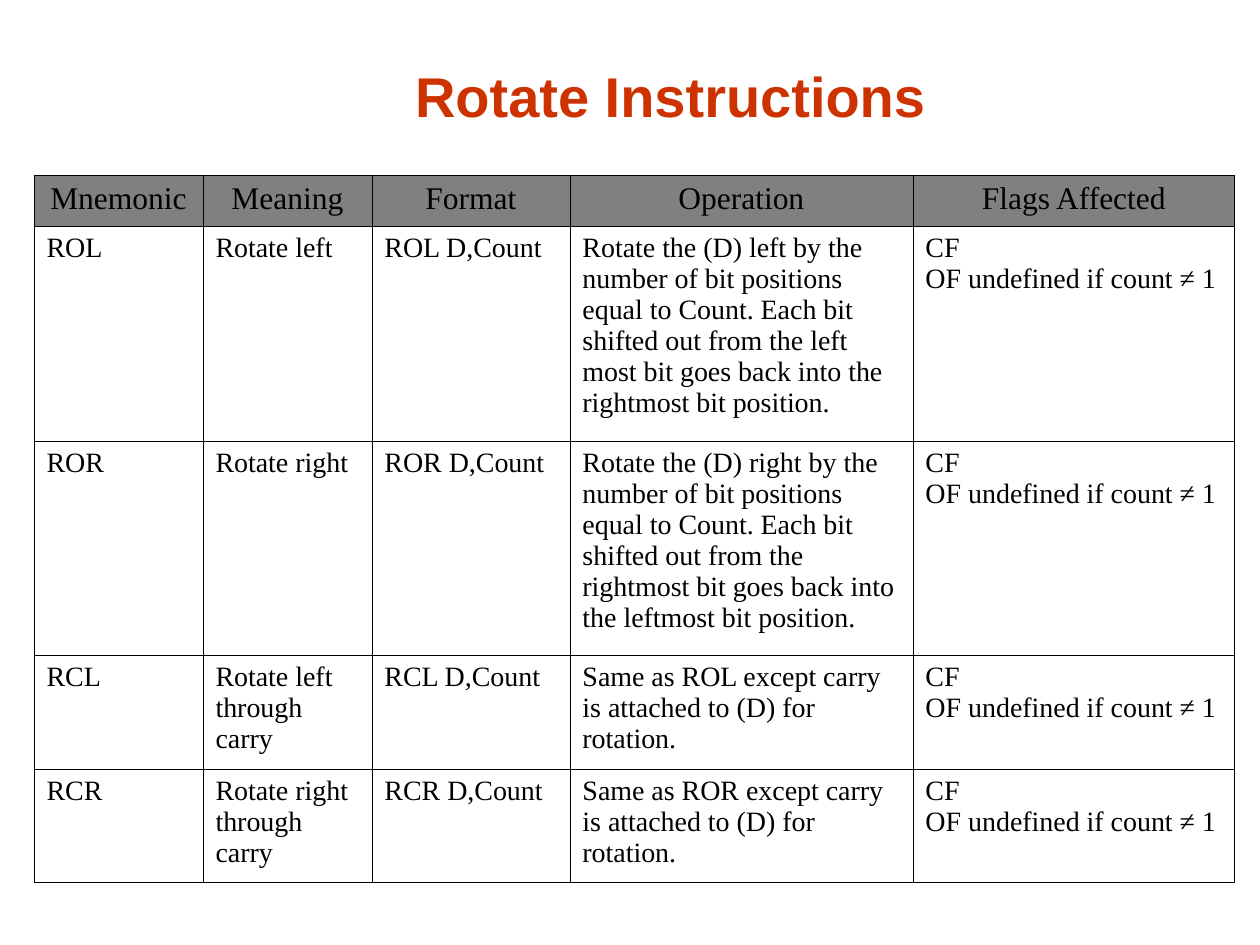
from lxml import etree
from pptx import Presentation
from pptx import util as u
from pptx.dml import color
from pptx.enum import text
from pptx.oxml import ns

PX_PER_INCH = 126
HEADERS = ["Mnemonic", "Meaning", "Format", "Operation", "Flags Affected"]
FLAGS = "CF\nOF undefined if count ≠ 1"
INSTRUCTIONS = [
    ("ROL", "Rotate left",
     "Rotate the (D) left by the number of bit positions equal to Count. "
     "Each bit shifted out from the left most bit goes back into the rightmost bit position."),
    ("ROR", "Rotate right",
     "Rotate the (D) right by the number of bit positions equal to Count. "
     "Each bit shifted out from the rightmost bit goes back into the leftmost bit position."),
    ("RCL", "Rotate left through carry",
     "Same as ROL except carry is attached to (D) for rotation."),
    ("RCR", "Rotate right through carry",
     "Same as ROR except carry is attached to (D) for rotation."),
]
COLUMN_WIDTHS = [169, 169, 198, 343, 322]
ROW_HEIGHTS = [51, 215, 214, 114, 113]


def px(n):
    """Turn pixels into EMU."""
    return u.Emu(round(n * 914400 / PX_PER_INCH))


def rgb(value):
    """Turn a hex string into a colour."""
    return color.RGBColor.from_string(value)


def write(tf, content, size, face, colour, bold=False, align=None):
    """Write the lines of content as evenly styled paragraphs."""
    tf.text = content
    for p in tf.paragraphs:
        p.alignment = align
        p.font.size = u.Pt(size)
        p.font.name = face
        p.font.bold = bold
        p.font.color.rgb = rgb(colour)


def add_borders(cell, colour, width):
    """Draw a solid line on each side of a cell."""
    tc_pr = cell._tc.get_or_add_tcPr()
    for i, side in enumerate(("lnL", "lnR", "lnT", "lnB")):
        ln = etree.Element(ns.qn(f"a:{side}"), w=str(u.Pt(width)))
        fill = etree.SubElement(ln, ns.qn("a:solidFill"))
        etree.SubElement(fill, ns.qn("a:srgbClr"), val=colour)
        tc_pr.insert(i, ln)


def add_title(s, x, y, w, h):
    """Place the slide title in its box."""
    tf = s.shapes.add_textbox(px(x), px(y), px(w), px(h)).text_frame
    tf.word_wrap = True
    write(tf, "Rotate Instructions", 32, "Arial", "CC3300", True, text.PP_ALIGN.CENTER)


def add_instruction_table(s, x, y):
    """Place the table of rotate instructions with its corner at x, y."""
    rows = [HEADERS] + [
        [name, meaning, f"{name} D,Count", operation, FLAGS]
        for name, meaning, operation in INSTRUCTIONS
    ]
    table = s.shapes.add_table(
        len(rows), len(HEADERS), px(x), px(y),
        px(sum(COLUMN_WIDTHS)), px(sum(ROW_HEIGHTS))).table
    table.first_row = table.horz_banding = False
    for column, width in zip(table.columns, COLUMN_WIDTHS):
        column.width = px(width)
    for i, (row, height) in enumerate(zip(table.rows, ROW_HEIGHTS)):
        row.height = px(height)
        for cell, content in zip(row.cells, rows[i]):
            if i == 0:
                cell.fill.solid()
                cell.fill.fore_color.rgb = rgb("808080")
                write(cell.text_frame, content, 18, "Times New Roman", "000000",
                      align=text.PP_ALIGN.CENTER)
            else:
                cell.fill.background()
                write(cell.text_frame, content, 16, "Times New Roman", "000000")
            add_borders(cell, "000000", 0.45)


def main():
    """Build and save the slide."""
    prs = Presentation()
    prs.slide_width, prs.slide_height = px(1260), px(945)
    s = prs.slides.add_slide(prs.slide_layouts[6])
    add_instruction_table(s, 34, 175)
    add_title(s, 353, 55, 635, 81)
    prs.save("out.pptx")


if __name__ == "__main__":
    main()
